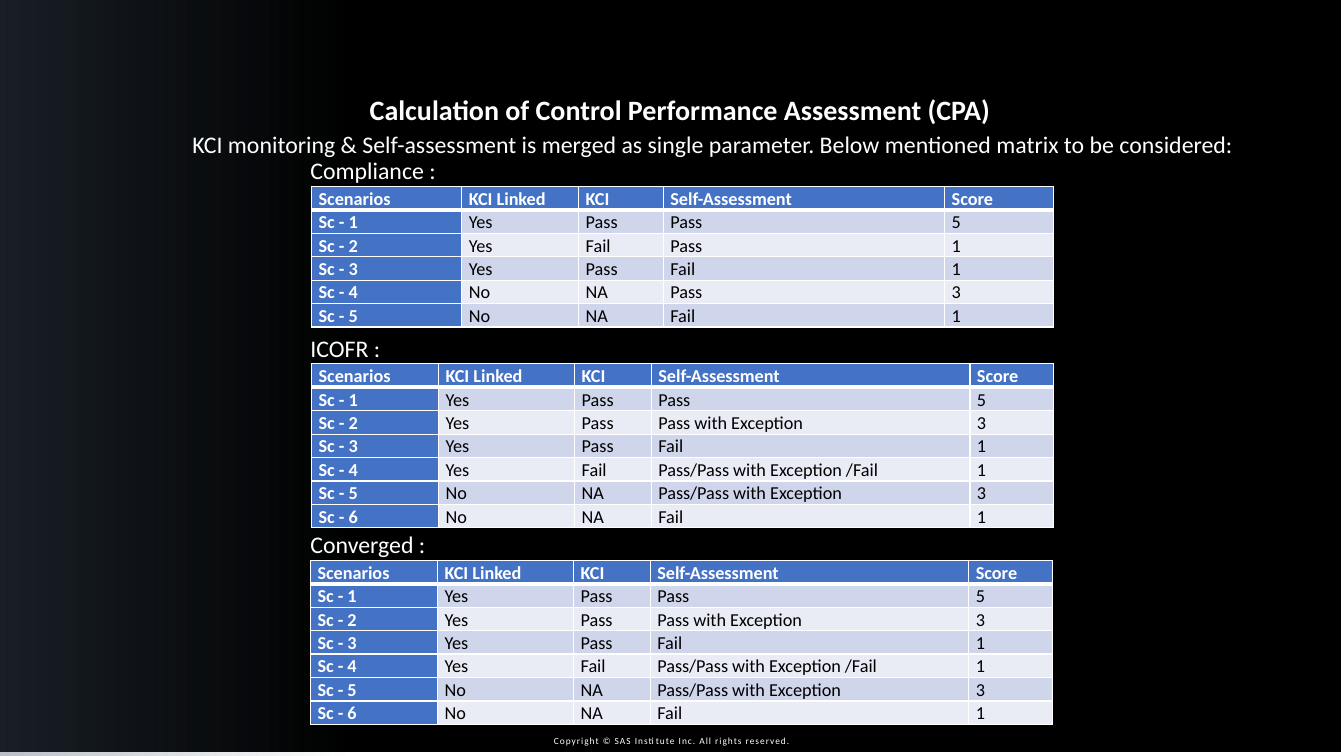
from dataclasses import dataclass

from lxml.etree import SubElement
from pptx import Presentation
from pptx.dml.color import RGBColor
from pptx.enum.shapes import MSO_SHAPE
from pptx.enum.text import MSO_ANCHOR, MSO_AUTO_SIZE, PP_ALIGN
from pptx.oxml import parse_xml
from pptx.oxml.ns import nsdecls, qn
from pptx.util import Emu, Pt

PX = 9144  # 100 px to the inch
FONT = "Calibri"
WHITE, BLACK, SLATE = "FFFFFF", "000000", "44546A"
BLUE, BANDS = "4472C4", ("CFD5EA", "E9EBF5")
HEADER = ("Scenarios", "KCI Linked", "KCI", "Self-Assessment", "Score")
ROW_HEIGHT = 23

COMPLIANCE_ROWS = (
    ("Yes", "Pass", "Pass", "5"),
    ("Yes", "Fail", "Pass", "1"),
    ("Yes", "Pass", "Fail", "1"),
    ("No", "NA", "Pass", "3"),
    ("No", "NA", "Fail", "1"),
)
EXCEPTION_ROWS = (
    ("Yes", "Pass", "Pass", "5"),
    ("Yes", "Pass", "Pass with Exception", "3"),
    ("Yes", "Pass", "Fail", "1"),
    ("Yes", "Fail", "Pass/Pass with Exception /Fail", "1"),
    ("No", "NA", "Pass/Pass with Exception", "3"),
    ("No", "NA", "Fail", "1"),
)
COMPLIANCE_COLUMNS = (149, 116, 84, 279, 108)
EXCEPTION_COLUMNS = (126, 135, 76, 316, 83)


@dataclass(frozen=True)
class Box:
    left: int
    top: int
    width: int
    height: int

    def emu(self) -> tuple[Emu, ...]:
        return tuple(Emu(side * PX) for side in (self.left, self.top, self.width, self.height))


@dataclass(frozen=True)
class Matrix:
    label: str
    label_top: int
    left: int
    top: int
    columns: tuple[int, ...]
    rows: tuple[tuple[str, ...], ...]
    body_align: PP_ALIGN


MATRICES = (
    Matrix("Compliance :", 148, 309, 185, COMPLIANCE_COLUMNS, COMPLIANCE_ROWS, PP_ALIGN.JUSTIFY),
    Matrix("ICOFR :", 325, 309, 361, EXCEPTION_COLUMNS, EXCEPTION_ROWS, PP_ALIGN.LEFT),
    Matrix("Converged :", 519, 308, 556, EXCEPTION_COLUMNS, EXCEPTION_ROWS, PP_ALIGN.LEFT),
)


def rgb(value: str) -> RGBColor:
    return RGBColor.from_string(value)


def assign(target, values: dict) -> None:
    for name, value in values.items():
        setattr(target, name, value)


def write(frame, text: str, size: float, color: str = WHITE, bold: bool = False, **para_format):
    """Fill the frame's first paragraph and return its run."""
    para = frame.paragraphs[0]
    assign(para, para_format)
    span = para.add_run()
    span.text = text
    assign(span.font, {"name": FONT, "size": Pt(size), "bold": bold})
    span.font.color.rgb = rgb(color)
    return span


def add_text(page, box: Box, text: str, size: float, anchor=MSO_ANCHOR.TOP, **para_format):
    frame = page.shapes.add_textbox(*box.emu()).text_frame
    assign(frame, {"word_wrap": True, "vertical_anchor": anchor,
                   "auto_size": MSO_AUTO_SIZE.SHAPE_TO_FIT_TEXT})
    return write(frame, text, size, **para_format)


def add_rectangle(page, box: Box):
    shape = page.shapes.add_shape(MSO_SHAPE.RECTANGLE, *box.emu())
    shape.shadow.inherit = False
    shape.line.fill.background()
    return shape


def add_backdrop(page) -> None:
    panel = add_rectangle(page, Box(0, -1, 1330, 747))
    panel.fill.solid()
    panel.fill.fore_color.rgb = rgb(BLACK)

    glow = add_rectangle(page, Box(0, 0, 351, 751))
    glow.fill.gradient()
    glow.fill.gradient_angle = 180
    for stop, position in zip(glow.fill.gradient_stops, (0.02, 1)):
        stop.position = position
        stop.color.rgb = rgb(SLATE)
    for color, percent in zip(glow._element.iter(qn("a:srgbClr")), (0, 36)):
        SubElement(color, qn("a:alpha"), val=str(percent * 1000))


def add_borders(cell, top: int, bottom: int) -> None:
    properties = cell._tc.get_or_add_tcPr()
    sides = {"lnL": 1, "lnR": 1, "lnT": top, "lnB": bottom}
    for index, (side, points) in enumerate(sides.items()):
        properties.insert(index, parse_xml(
            f'<a:{side} {nsdecls("a")} w="{Pt(points)}"><a:solidFill>'
            f'<a:srgbClr val="{WHITE}"/></a:solidFill></a:{side}>'))


def add_matrix(page, matrix: Matrix) -> None:
    add_text(page, Box(298, matrix.label_top, 146, 40), matrix.label, 17,
             alignment=PP_ALIGN.JUSTIFY, line_spacing=1.05, space_after=Pt(6))
    lines = [HEADER] + [(f"Sc - {number}", *row) for number, row in enumerate(matrix.rows, 1)]
    box = Box(matrix.left, matrix.top, sum(matrix.columns), ROW_HEIGHT * len(lines))
    table = page.shapes.add_table(len(lines), len(HEADER), *box.emu()).table
    for column, width in zip(table.columns, matrix.columns):
        column.width = Emu(width * PX)
    for r, line in enumerate(lines):
        for c, text in enumerate(line):
            heading = r == 0 or c == 0
            cell = table.cell(r, c)
            assign(cell, {"margin_left": Emu(7 * PX), "margin_right": Emu(7 * PX),
                          "margin_top": 0, "margin_bottom": 0,
                          "vertical_anchor": MSO_ANCHOR.BOTTOM})
            cell.fill.solid()
            cell.fill.fore_color.rgb = rgb(BLUE if heading else BANDS[(r - 1) % 2])
            add_borders(cell, top=3 if r == 1 else 1, bottom=3 if r == 0 else 1)
            write(cell.text_frame, text, 13, WHITE if heading else BLACK, heading,
                  alignment=matrix.body_align if r else PP_ALIGN.JUSTIFY, line_spacing=1.07)


def place_title(page) -> None:
    title = page.shapes.title
    assign(title, dict(zip(("left", "top", "width", "height"), Box(61, 87, 1227, 44).emu())))
    assign(title.text_frame, {"word_wrap": True, "vertical_anchor": MSO_ANCHOR.TOP,
                              "auto_size": MSO_AUTO_SIZE.SHAPE_TO_FIT_TEXT})
    write(title.text_frame, "Calculation of Control Performance Assessment (CPA)", 20,
          bold=True, alignment=PP_ALIGN.CENTER)
    title._element.getparent().append(title._element)  # bring to front


def main() -> None:
    deck = Presentation()
    assign(deck, {"slide_width": Emu(1333 * PX), "slide_height": Emu(750 * PX)})
    page = deck.slides.add_slide(deck.slide_layouts.get_by_name("Title Only"))
    add_backdrop(page)
    notice = add_text(page, Box(483, 724, 367, 21),
                      "Copyright © SAS Institute Inc. All rights reserved.", 6.7,
                      MSO_ANCHOR.BOTTOM, alignment=PP_ALIGN.CENTER)
    notice.font._element.set("spc", "70")
    add_text(page, Box(181, 122, 1066, 40),
             "KCI monitoring & Self-assessment is merged as single parameter. "
             "Below mentioned matrix to be considered:", 17,
             line_spacing=1.05, space_after=Pt(6))
    for matrix in MATRICES:
        add_matrix(page, matrix)
    place_title(page)
    deck.save("out.pptx")


if __name__ == "__main__":
    main()
